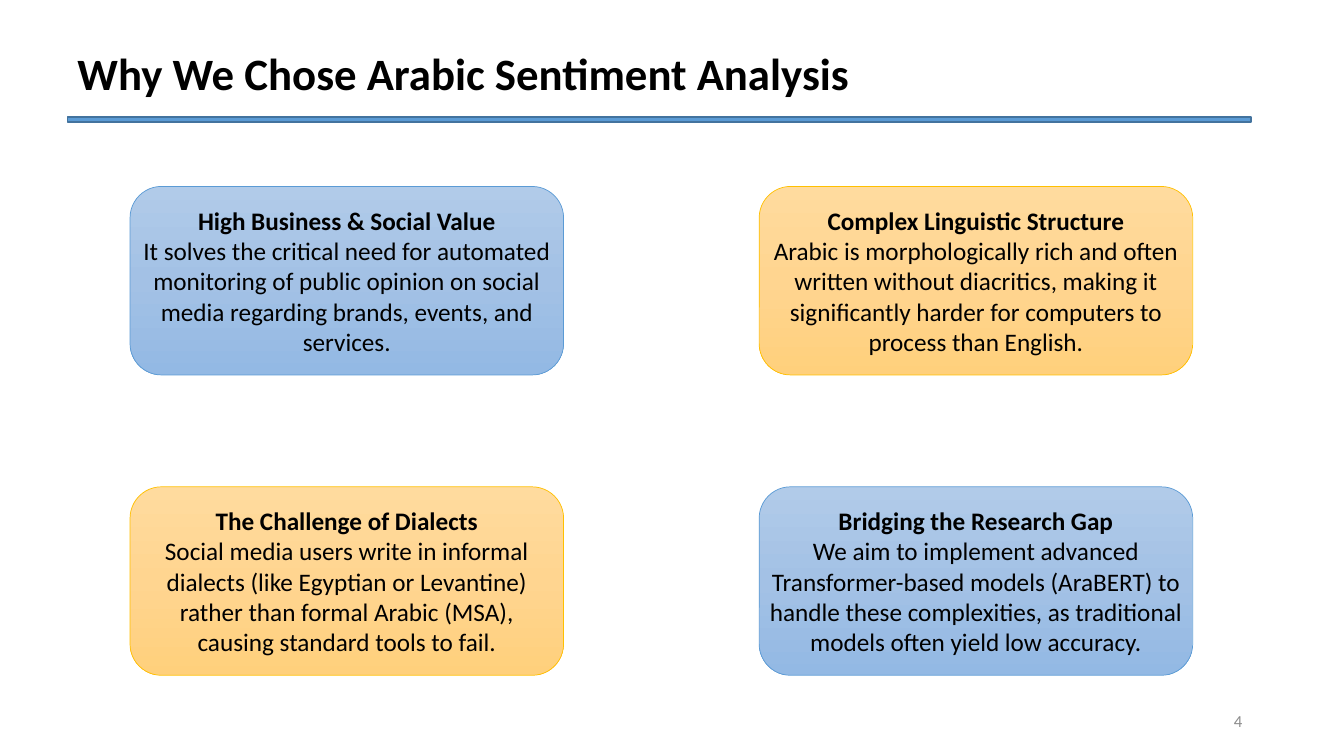
from copy import deepcopy
from dataclasses import dataclass

from pptx import Presentation
from pptx.dml.color import RGBColor
from pptx.enum.shapes import MSO_SHAPE
from pptx.enum.text import MSO_ANCHOR, PP_ALIGN
from pptx.oxml.ns import qn
from pptx.util import Inches, Pt


@dataclass(frozen=True)
class Theme:
    """Colours, font and type sizes of the slide."""
    font: str = "Calibri"
    ink: str = "000000"
    muted: str = "8C8C8C"
    rule_fill: str = "5B9BD5"
    rule_line: str = "43739E"
    blue: tuple = ("B1CBE9", "A3C1E5", "93B9E4")
    blue_line: str = "5B9BD5"
    gold: tuple = ("FFDB9E", "FFD590", "FFD07C")
    gold_line: str = "FFC000"
    title_size: int = 32
    body_size: int = 18
    number_size: int = 12


THEME = Theme()

REASONS = [
    ("High Business & Social Value",
     "It solves the critical need for automated monitoring of public opinion on social "
     "media regarding brands, events, and services."),
    ("Complex Linguistic Structure",
     "Arabic is morphologically rich and often written without diacritics, making it "
     "significantly harder for computers to process than English."),
    ("The Challenge of Dialects",
     "Social media users write in informal dialects (like Egyptian or Levantine) rather "
     "than formal Arabic (MSA), causing standard tools to fail."),
    ("Bridging the Research Gap",
     "We aim to implement advanced Transformer-based models (AraBERT) to handle these "
     "complexities, as traditional models often yield low accuracy."),
]


def style_paragraph(paragraph, text, size, color, bold=False, align=PP_ALIGN.LEFT):
    """Fill a paragraph with text in one style."""
    paragraph.text = text
    paragraph.alignment = align
    paragraph.font.name = THEME.font
    paragraph.font.size = Pt(size)
    paragraph.font.bold = bold
    paragraph.font.color.rgb = RGBColor.from_string(color)


def add_box(slide, preset, left, top, width, height, line_color, line_width):
    """Add a preset shape without shadow and with the given outline."""
    shape = slide.shapes.add_shape(
        preset, Inches(left), Inches(top), Inches(width), Inches(height))
    shape.shadow.inherit = False
    shape.line.color.rgb = RGBColor.from_string(line_color)
    shape.line.width = Pt(line_width)
    return shape


def fill_gradient(shape, colors):
    """Fill a shape from top to bottom with three evenly spaced colours."""
    shape.fill.gradient()
    shape.fill.gradient_angle = 270
    first_stop = next(shape._element.spPr.iter(qn("a:gs")))
    first_stop.addnext(deepcopy(first_stop))
    for index, (stop, color) in enumerate(zip(shape.fill.gradient_stops, colors)):
        stop.position = index / 2
        stop.color.rgb = RGBColor.from_string(color)


def add_header(slide, left, top, width):
    """Add the slide title and the rule below it."""
    title = slide.shapes.add_textbox(
        Inches(left), Inches(top), Inches(10.44), Inches(0.64))
    title.text_frame.word_wrap = True
    style_paragraph(title.text_frame.paragraphs[0],
                    "Why We Chose Arabic Sentiment Analysis",
                    THEME.title_size, THEME.ink, bold=True)
    rule = add_box(slide, MSO_SHAPE.RECTANGLE, left, top + 0.76, width, 0.05,
                   THEME.rule_line, 1)
    rule.fill.solid()
    rule.fill.fore_color.rgb = RGBColor.from_string(THEME.rule_fill)


def add_card(slide, left, top, width, height, reason, colors, line_color):
    """Add a rounded card with a bold heading and an explanation."""
    heading, explanation = reason
    card = add_box(slide, MSO_SHAPE.ROUNDED_RECTANGLE, left, top, width, height,
                   line_color, 0.5)
    fill_gradient(card, colors)
    frame = card.text_frame
    frame.word_wrap = True
    frame.vertical_anchor = MSO_ANCHOR.MIDDLE
    frame.margin_left = frame.margin_right = Inches(0)
    style_paragraph(frame.paragraphs[0], heading, THEME.body_size, THEME.ink,
                    bold=True, align=PP_ALIGN.CENTER)
    style_paragraph(frame.add_paragraph(), explanation, THEME.body_size, THEME.ink,
                    align=PP_ALIGN.CENTER)


def add_card_grid(slide, left, top, width, height):
    """Place the reasons in a two by two grid with alternating colours."""
    card_width, card_height = 4.3, 1.87
    for index, reason in enumerate(REASONS):
        row, column = divmod(index, 2)
        is_blue = row == column
        add_card(slide,
                 left + column * (width - card_width),
                 top + row * (height - card_height),
                 card_width, card_height, reason,
                 THEME.blue if is_blue else THEME.gold,
                 THEME.blue_line if is_blue else THEME.gold_line)


def add_page_number(slide, left, top, width, height):
    """Add the page number at the right of its box."""
    box = slide.shapes.add_textbox(
        Inches(left), Inches(top), Inches(width), Inches(height))
    box.text_frame.word_wrap = True
    box.text_frame.vertical_anchor = MSO_ANCHOR.MIDDLE
    style_paragraph(box.text_frame.paragraphs[0], "4", THEME.number_size,
                    THEME.muted, align=PP_ALIGN.RIGHT)


def main():
    """Build the slide and save the presentation."""
    presentation = Presentation()
    presentation.slide_width = Inches(13.33)
    presentation.slide_height = Inches(7.5)
    slide = presentation.slides.add_slide(presentation.slide_layouts[6])
    add_header(slide, 0.67, 0.4, 11.74)
    add_card_grid(slide, 1.29, 1.85, 10.54, 4.85)
    add_page_number(slide, 9.42, 6.95, 3, 0.4)
    presentation.save("out.pptx")


if __name__ == "__main__":
    main()
